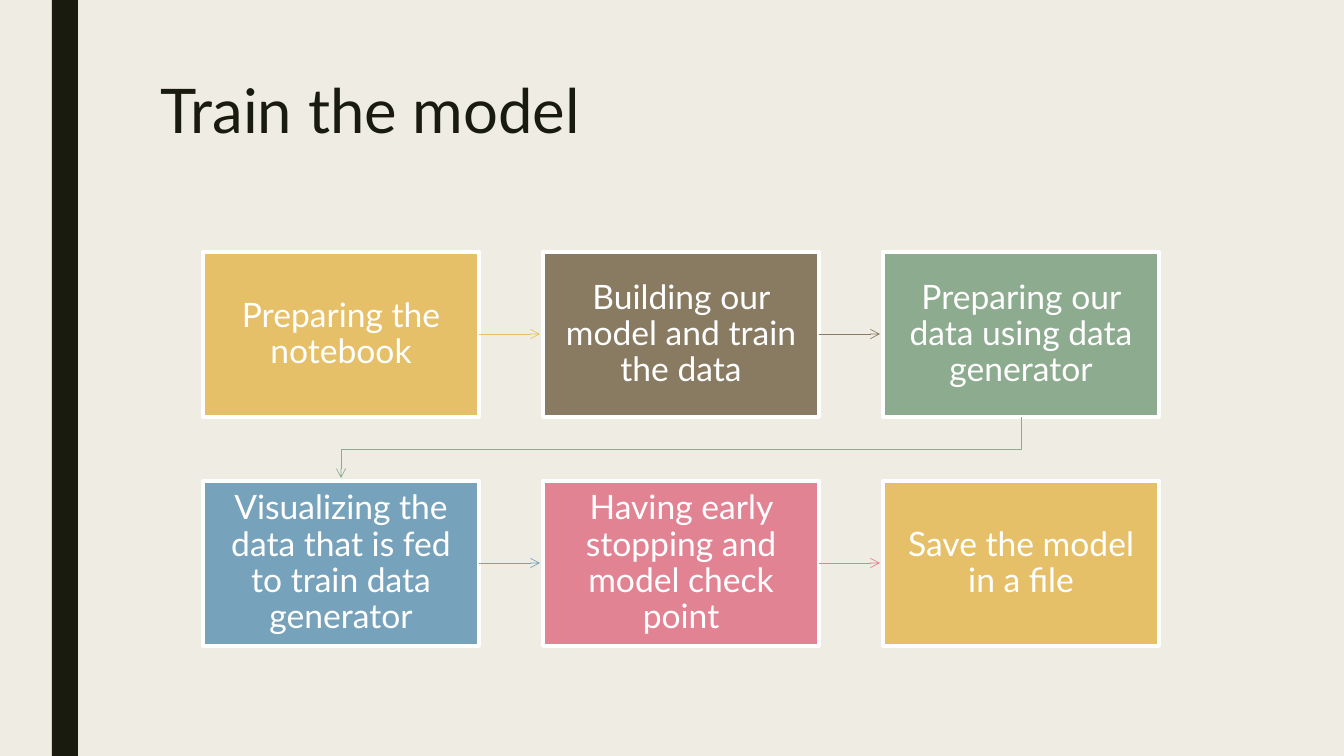
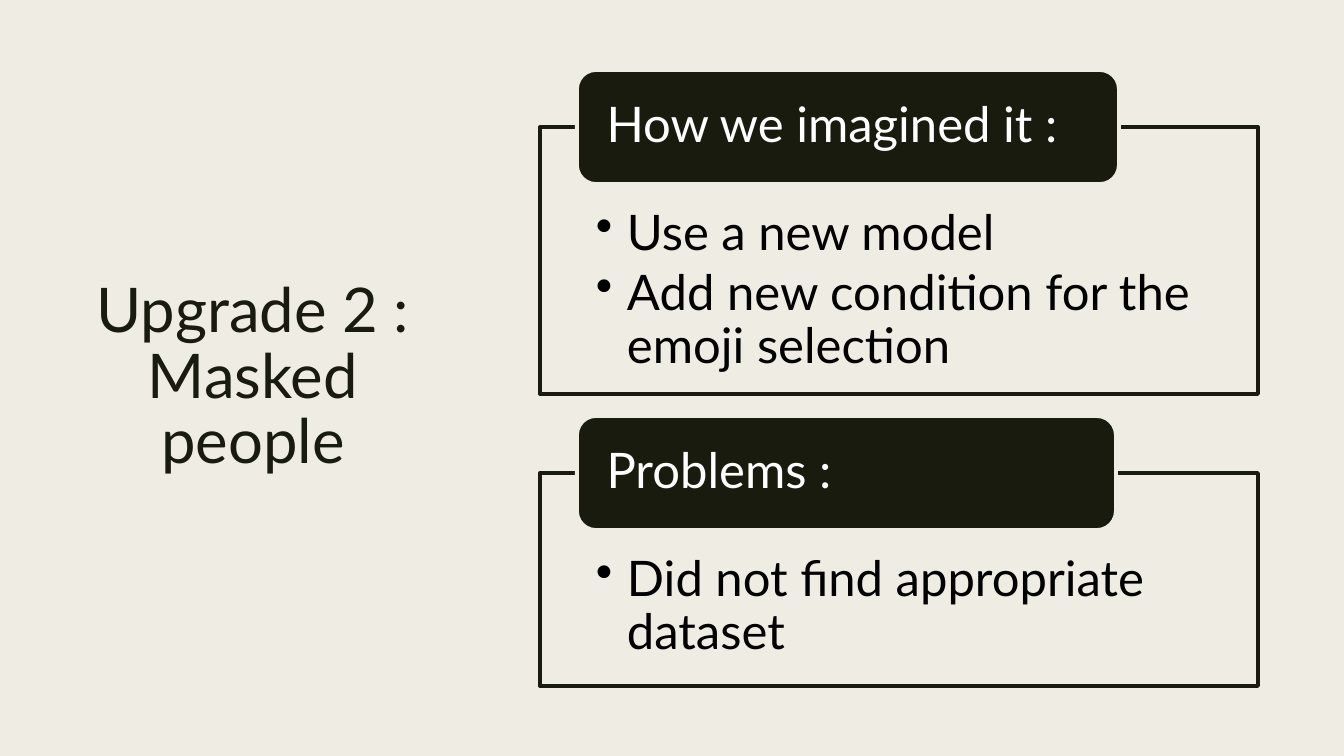
from lxml import etree
from pptx import Presentation
from pptx import util as u
from pptx.dml.color import RGBColor
from pptx.enum import shapes, text
from pptx.oxml.ns import qn

FONT = "Lato"
PAPER = RGBColor(0xEF, 0xED, 0xE3)
INK = RGBColor(0x19, 0x1B, 0x0E)
WHITE = RGBColor(0xFF, 0xFF, 0xFF)
BLACK = RGBColor(0, 0, 0)
GOLD = RGBColor(0xE6, 0xC0, 0x69)
BROWN = RGBColor(0x89, 0x7B, 0x61)
GREEN = RGBColor(0x8D, 0xAB, 0x8E)
BLUE = RGBColor(0x77, 0xA2, 0xBB)
PINK = RGBColor(0xE2, 0x83, 0x94)

SLIDE_W, SLIDE_H = 1344, 756
BORDER = 2.75
CARD_W, CARD_H = 276, 165
COLUMNS = 3
GRID_LEFT, GRID_TOP = 203, 252
COLUMN_STEP, ROW_STEP = 340, 229
ARROW_GAP = 3

STEPS = [
    ("Preparing the notebook", GOLD),
    ("Building our model and train the data", BROWN),
    ("Preparing our data using data generator", GREEN),
    ("Visualizing the data that is fed to train data generator", BLUE),
    ("Having early stopping and model check point", PINK),
    ("Save the model in a file", GOLD),
]


def px(length):
    return u.Emu(round(length * u.Inches(1) / 100.8))


def add_box(page, kind, left, top, width, height, fill, border=None):
    box = page.shapes.add_shape(kind, px(left), px(top), px(width), px(height))
    box.shadow.inherit = False
    box.fill.solid()
    box.fill.fore_color.rgb = fill
    if border is None:
        box.line.fill.background()
    else:
        box.line.color.rgb = border
        box.line.width = u.Pt(BORDER)
    return box


def set_frame(box, insets, anchor):
    """Insets are left, top, right and bottom, in px."""
    frame = box.text_frame
    frame.word_wrap = True
    frame.vertical_anchor = anchor
    (frame.margin_left, frame.margin_top,
     frame.margin_right, frame.margin_bottom) = map(px, insets)
    return frame


def add_bullet(para, indent):
    props = para._p.get_or_add_pPr()
    props.set("marL", str(px(indent)))
    props.set("indent", str(-px(indent)))
    etree.SubElement(props, qn("a:buChar")).set("char", "•")


def write(frame, lines, size, color, align=text.PP_ALIGN.LEFT, spacing=0.9, bullet_indent=0):
    for index, line in enumerate(lines):
        para = frame.add_paragraph() if index else frame.paragraphs[0]
        if bullet_indent:
            add_bullet(para, bullet_indent)
        para.alignment = align
        para.line_spacing = spacing
        if index:
            para.space_before = u.Pt(5)
        span = para.add_run()
        span.text = line
        span.font.name = FONT
        span.font.size = u.Pt(size)
        span.font.color.rgb = color


def add_title(page, title, left, top, width, height,
              align=text.PP_ALIGN.LEFT, anchor=text.MSO_ANCHOR.TOP):
    box = page.shapes.add_textbox(px(left), px(top), px(width), px(height))
    write(set_frame(box, (10, 5, 10, 5), anchor), [title], 44, INK, align, 0.89)


def style_arrow(arrow, color):
    arrow.line.color.rgb = color
    arrow.line.width = u.Pt(0.5)
    etree.SubElement(arrow.line._get_or_add_ln(), qn("a:tailEnd")).set("type", "arrow")


def add_straight_arrow(page, left, right, y, color):
    arrow = page.shapes.add_connector(
        shapes.MSO_CONNECTOR.STRAIGHT, px(left), px(y), px(right), px(y))
    style_arrow(arrow, color)
    etree.SubElement(arrow._element.spPr, qn("a:effectLst"))


def add_bent_arrow(page, points, color):
    corners = [(px(x), px(y)) for x, y in points]
    builder = page.shapes.build_freeform(*corners[0])
    builder.add_line_segments(corners[1:], close=False)
    arrow = builder.convert_to_shape()
    arrow.shadow.inherit = False
    arrow.fill.background()
    style_arrow(arrow, color)


def card_origin(index):
    row, column = divmod(index, COLUMNS)
    return GRID_LEFT + column * COLUMN_STEP, GRID_TOP + row * ROW_STEP


def add_card(page, index, label, color):
    box = add_box(page, shapes.MSO_SHAPE.RECTANGLE, *card_origin(index),
                  CARD_W, CARD_H, color, WHITE)
    frame = set_frame(box, (13, 14, 13, 14), text.MSO_ANCHOR.MIDDLE)
    write(frame, [label], 24, WHITE, text.PP_ALIGN.CENTER)


def add_step_arrow(page, index, color):
    """Lead from one card to the next, bending where the row ends."""
    left, top = card_origin(index)
    next_left, next_top = card_origin(index + 1)
    if top == next_top:
        add_straight_arrow(page, left + CARD_W, next_left - ARROW_GAP, top + CARD_H // 2, color)
        return
    start_x, end_x = left + CARD_W // 2, next_left + CARD_W // 2
    bottom = top + CARD_H
    bend = (bottom + next_top) // 2
    add_bent_arrow(page, [(start_x, bottom), (start_x, bend), (end_x, bend),
                          (end_x, next_top - ARROW_GAP)], color)


def add_panel(page, heading, bullets, top, height, heading_width):
    """A framed bullet list whose heading straddles the top edge."""
    left, width, heading_height = 540, 718, 114
    panel = add_box(page, shapes.MSO_SHAPE.RECTANGLE, left, top, width, height, PAPER, INK)
    frame = set_frame(panel, (56, 81, 56, 27), text.MSO_ANCHOR.TOP)
    write(frame, bullets, 35, BLACK, bullet_indent=31)
    label = add_box(page, shapes.MSO_SHAPE.ROUNDED_RECTANGLE, left + 37,
                    top - heading_height // 2, heading_width, heading_height, INK, PAPER)
    frame = set_frame(label, (24, 0, 24, 0), text.MSO_ANCHOR.MIDDLE)
    write(frame, [heading], 35, WHITE)


def build_training_page(page):
    add_box(page, shapes.MSO_SHAPE.RECTANGLE, 52, 0, 26, SLIDE_H, INK)
    add_title(page, "Train the model", 151, 76, 1058, 163)
    for index, (label, color) in enumerate(STEPS):
        add_card(page, index, label, color)
        if index < len(STEPS) - 1:
            add_step_arrow(page, index, color)


def build_upgrade_page(page):
    add_title(page, "Upgrade 2 : Masked people", 71, 71, 364, 615,
              text.PP_ALIGN.CENTER, text.MSO_ANCHOR.MIDDLE)
    add_panel(page, "How we imagined it :",
              ["Use a new model", "Add new condition for the emoji selection"], 127, 267, 542)
    add_panel(page, "Problems :", ["Did not find appropriate dataset"], 473, 213, 539)


def main():
    deck = Presentation()
    deck.slide_width, deck.slide_height = px(SLIDE_W), px(SLIDE_H)
    backdrop = deck.slide_master.background.fill
    backdrop.solid()
    backdrop.fore_color.rgb = PAPER
    for build in (build_training_page, build_upgrade_page):
        build(deck.slides.add_slide(deck.slide_layouts[6]))
    deck.save("out.pptx")


if __name__ == "__main__":
    main()
